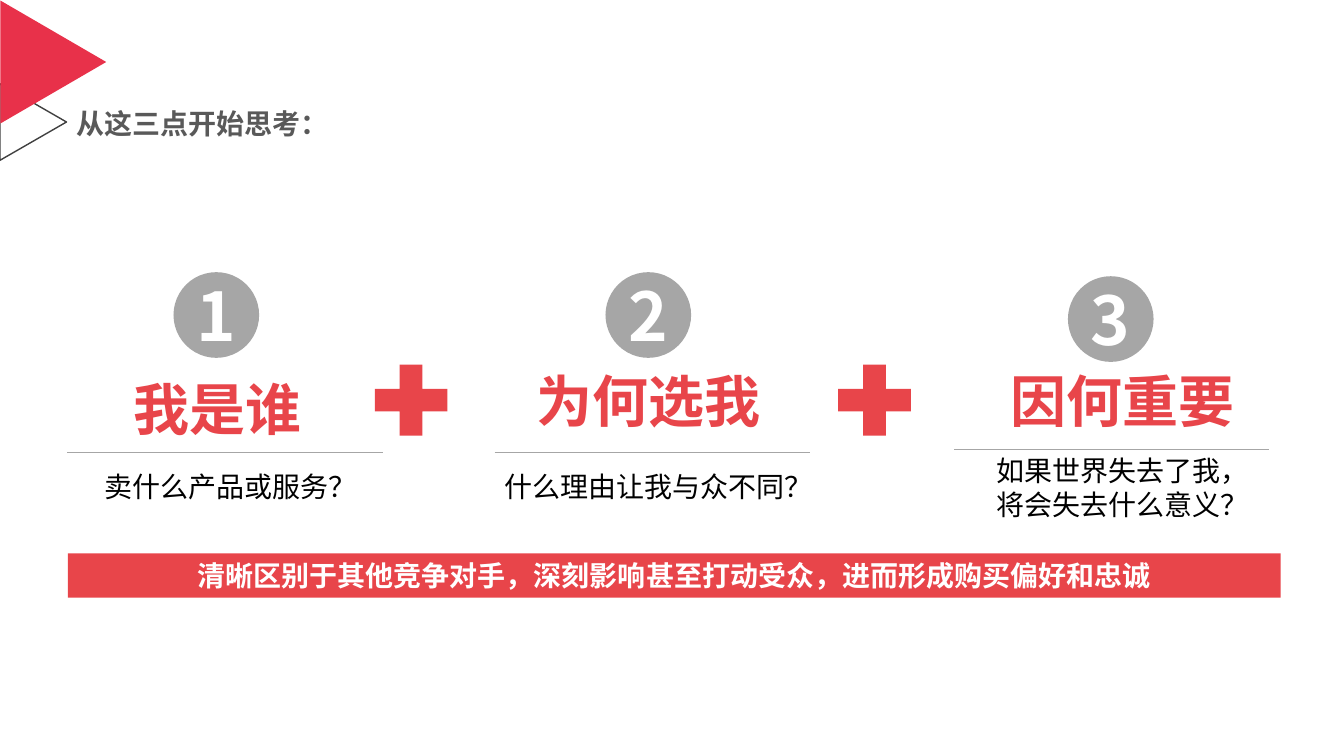
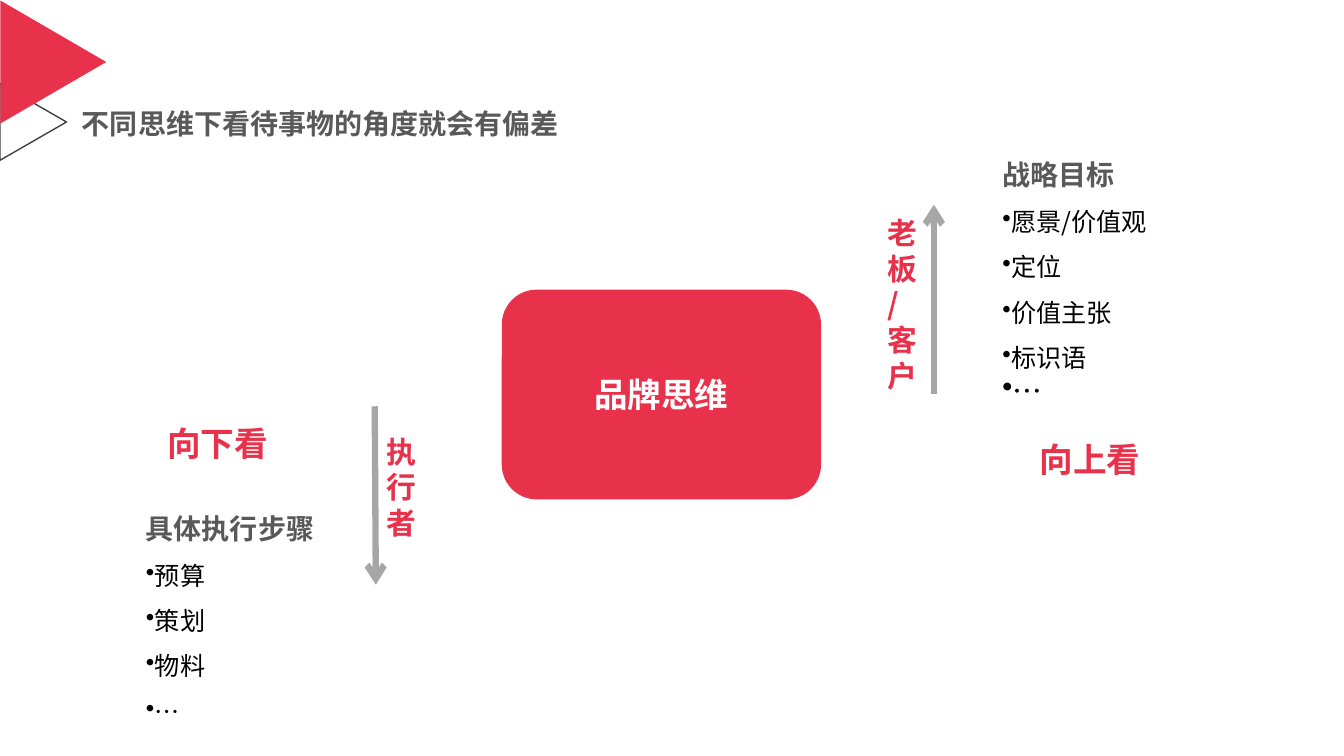
from lxml.etree import SubElement
from pptx import Presentation
from pptx.dml.color import RGBColor
from pptx.enum.shapes import MSO_CONNECTOR, MSO_SHAPE
from pptx.enum.text import MSO_ANCHOR, MSO_AUTO_SIZE, PP_ALIGN
from pptx.oxml.ns import qn
from pptx.util import Pt

FONT = "Noto Sans CJK SC"
CRIMSON, CORAL = "E8314A", "E8454A"
SILVER, SLATE, CHARCOAL = "A6A6A6", "595959", "404040"
WHITE, BLACK = "FFFFFF", "000000"
color = RGBColor.from_string


def write(frame, text, size=20, hue=BLACK, bold=False, align=PP_ALIGN.LEFT,
          spacing=1.0, bullet=False):
    """Fill the empty first paragraph, or add one after the existing text."""
    frame.word_wrap = True
    paragraph = frame.paragraphs[0] if not frame.text else frame.add_paragraph()
    paragraph.alignment = align
    paragraph.line_spacing = spacing
    if bullet:
        properties = paragraph._p.get_or_add_pPr()
        properties.set("marL", "0")
        properties.set("indent", "0")
        SubElement(properties, qn("a:buChar")).set("char", "•")
    run = paragraph.add_run()
    run.text = text
    run.font.size = Pt(size)
    run.font.bold = bold
    run.font.color.rgb = color(hue)
    run.font.name = FONT
    SubElement(run._r.get_or_add_rPr(), qn("a:ea")).set("typeface", FONT)


def add_figure(slide, preset, box, fill=None, outline=None):
    figure = slide.shapes.add_shape(preset, *map(Pt, box))
    figure.shadow.inherit = False
    if fill:
        figure.fill.solid()
        figure.fill.fore_color.rgb = color(fill)
    else:
        figure.fill.background()
    if outline:
        figure.line.color.rgb = color(outline)
        figure.line.width = Pt(1)
    else:
        figure.line.fill.background()
    return figure


deck = Presentation()
deck.slide_width, deck.slide_height = Pt(960.5), Pt(540)
layout = deck.slide_layouts[5]

# Titles
slides = []
for heading, left in (("从这三点开始思考：", 51), ("不同思维下看待事物的角度就会有偏差", 55)):
    slide = deck.slides.add_slide(layout)
    title = slide.shapes.title
    title.left, title.top, title.width, title.height = map(Pt, (left, 74.5, 600, 29.5))
    frame = title.text_frame
    frame.auto_size = MSO_AUTO_SIZE.NONE
    frame.vertical_anchor = MSO_ANCHOR.MIDDLE
    frame.margin_left = frame.margin_right = Pt(3.6)
    frame.margin_top = frame.margin_bottom = Pt(3.6)
    write(frame, heading, hue=SLATE, bold=True, spacing=0.9)
    slides.append(slide)
questions_slide, views_slide = slides

# Corner triangles, moved to the layout that both slides share
for box, fill, outline in (((-3.6, 63.4, 54.7, 47.5), None, CHARCOAL),
                           ((-5.8, 6.5, 87.8, 75.6), CRIMSON, None)):
    corner = add_figure(questions_slide, MSO_SHAPE.ISOSCELES_TRIANGLE, box, fill, outline)
    corner.rotation = 90
    layout.shapes.element.append(corner.element)

connectors = []

# Three questions: circle, keyword, rule and question, each with left and top
columns = (
    ((124, 194.4), "我是谁", (88.5, 264), (48.2, 323.3), ["卖什么产品或服务？"], (67.7, 332)),
    ((432.7, 194.4), "为何选我", (376.6, 258.5), (353.5, 323.3),
     ["什么理由让我与众不同？"], (353.5, 332)),
    ((763.2, 197.3), "因何重要", (715, 258.5), (681.8, 321.1),
     ["如果世界失去了我，", "将会失去什么意义？"], (704.9, 320.4)),
)
for number, column in enumerate(columns, 1):
    circle_at, keyword, keyword_at, (rule_left, rule_top), lines, question_at = column
    circle = add_figure(questions_slide, MSO_SHAPE.OVAL, (*circle_at, 61.2, 61.2), SILVER)
    write(circle.text_frame, str(number), 48, WHITE, True, PP_ALIGN.CENTER)
    name = questions_slide.shapes.add_textbox(*map(Pt, (*keyword_at, 200, 55.5)))
    write(name.text_frame, keyword, 40, CORAL, True)
    rule = questions_slide.shapes.add_connector(
        MSO_CONNECTOR.STRAIGHT, *map(Pt, (rule_left, rule_top, rule_left + 225.3, rule_top)))
    rule.line.width = Pt(0.5)
    connectors.append(rule)
    question = questions_slide.shapes.add_textbox(*map(Pt, (*question_at, 226, 31.5 * len(lines))))
    for line in lines:
        write(question.text_frame, line)

for left in (258.5, 589.7):
    add_figure(questions_slide, MSO_SHAPE.MATH_PLUS, (left, 251.3, 70.6, 69.1), CORAL)

banner = add_figure(questions_slide, MSO_SHAPE.RECTANGLE, (48.5, 395.3, 866.7, 31.7), CORAL)
write(banner.text_frame, "清晰区别于其他竞争对手，深刻影响甚至打动受众，进而形成购买偏好和忠诚",
      hue=WHITE, bold=True, align=PP_ALIGN.CENTER)

# Two views around the brand mindset
mindset = add_figure(views_slide, MSO_SHAPE.ROUNDED_RECTANGLE, (358.6, 206.9, 228.2, 149.8), CRIMSON)
write(mindset.text_frame, "品牌思维", 24, WHITE, True, PP_ALIGN.CENTER)

for ends in ((267.8, 290.2, 268.6, 417.6), (667.4, 281.5, 667.4, 146.2)):
    arrow = views_slide.shapes.add_connector(MSO_CONNECTOR.STRAIGHT, *map(Pt, ends))
    arrow.line.width = Pt(4.5)
    SubElement(arrow.get_or_add_ln(), qn("a:tailEnd")).set("type", "arrow")
    connectors.append(arrow)

labels = (
    ("向下看", (97.2, 298.8, 116.6, 36), 24, PP_ALIGN.CENTER),
    ("向上看", (720.7, 310.3, 116.6, 36), 24, PP_ALIGN.CENTER),
    ("执行者", (269.3, 306, 40.3, 85), 21.3, PP_ALIGN.LEFT),
    ("老板/客户", (627.1, 149.8, 40.3, 136.8), 21.3, PP_ALIGN.LEFT),
)
for text, box, size, align in labels:
    label = views_slide.shapes.add_textbox(*map(Pt, box))
    write(label.text_frame, text, size, CRIMSON, True, align)

# Each list ends with an ellipsis of its own size and line spacing
topics = (
    ("战略目标", (709.2, 85, 150.5, 212.4), ["愿景/价值观", "定位", "价值主张", "标识语"], 21.3, 1.0),
    ("具体执行步骤", (97.2, 337.7, 250, 186.5), ["预算", "策划", "物料"], 18, 1.5),
)
for topic, box, items, last_size, last_spacing in topics:
    frame = views_slide.shapes.add_textbox(*map(Pt, box)).text_frame
    write(frame, topic, hue=SLATE, bold=True, spacing=2.0)
    for item in items:
        write(frame, item, 18, spacing=1.5, bullet=True)
    write(frame, "…", last_size, spacing=last_spacing, bullet=True)

for connector in connectors:
    connector.line.color.rgb = color(SILVER)
    SubElement(connector.element.spPr, qn("a:effectLst"))

deck.save("out.pptx")
